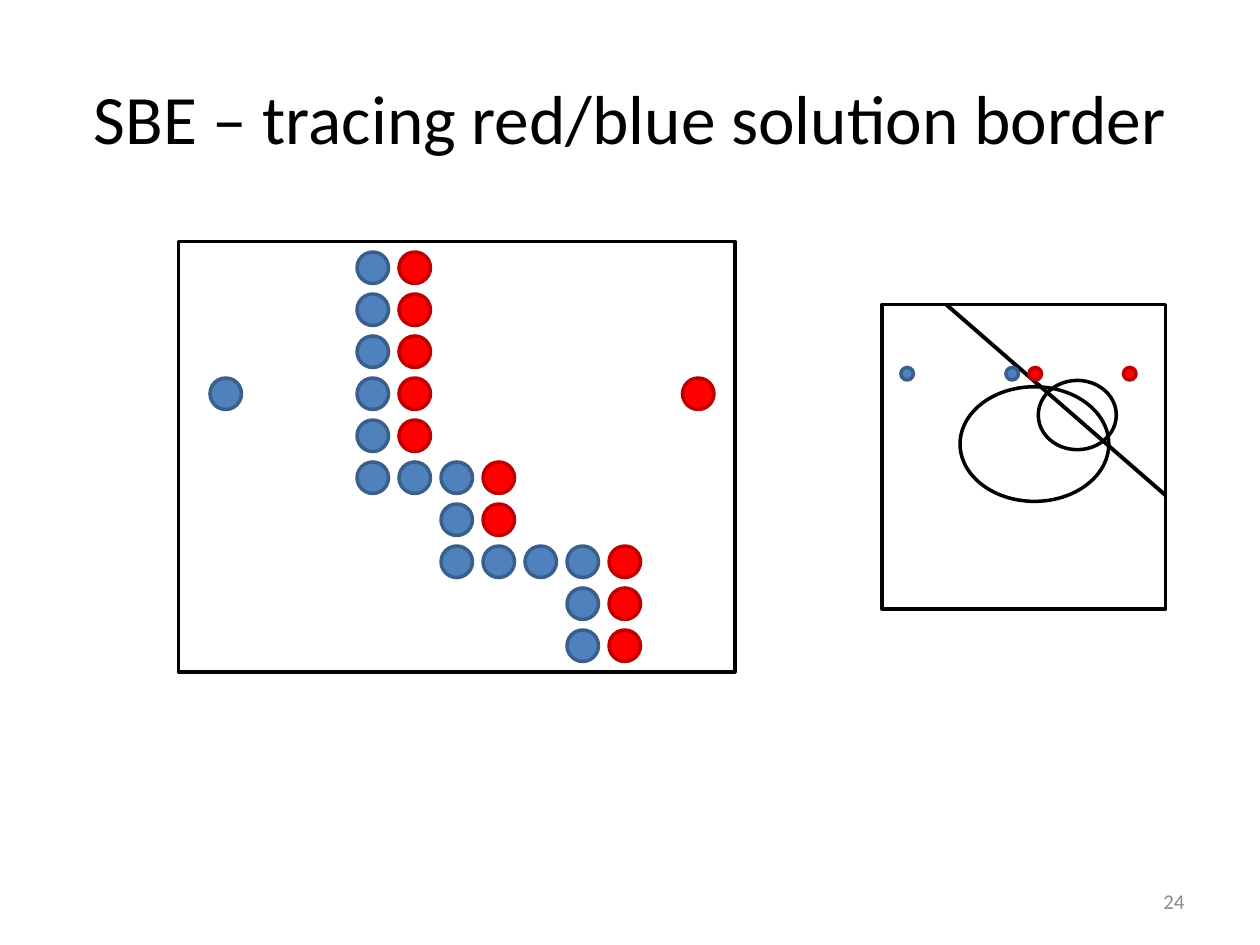
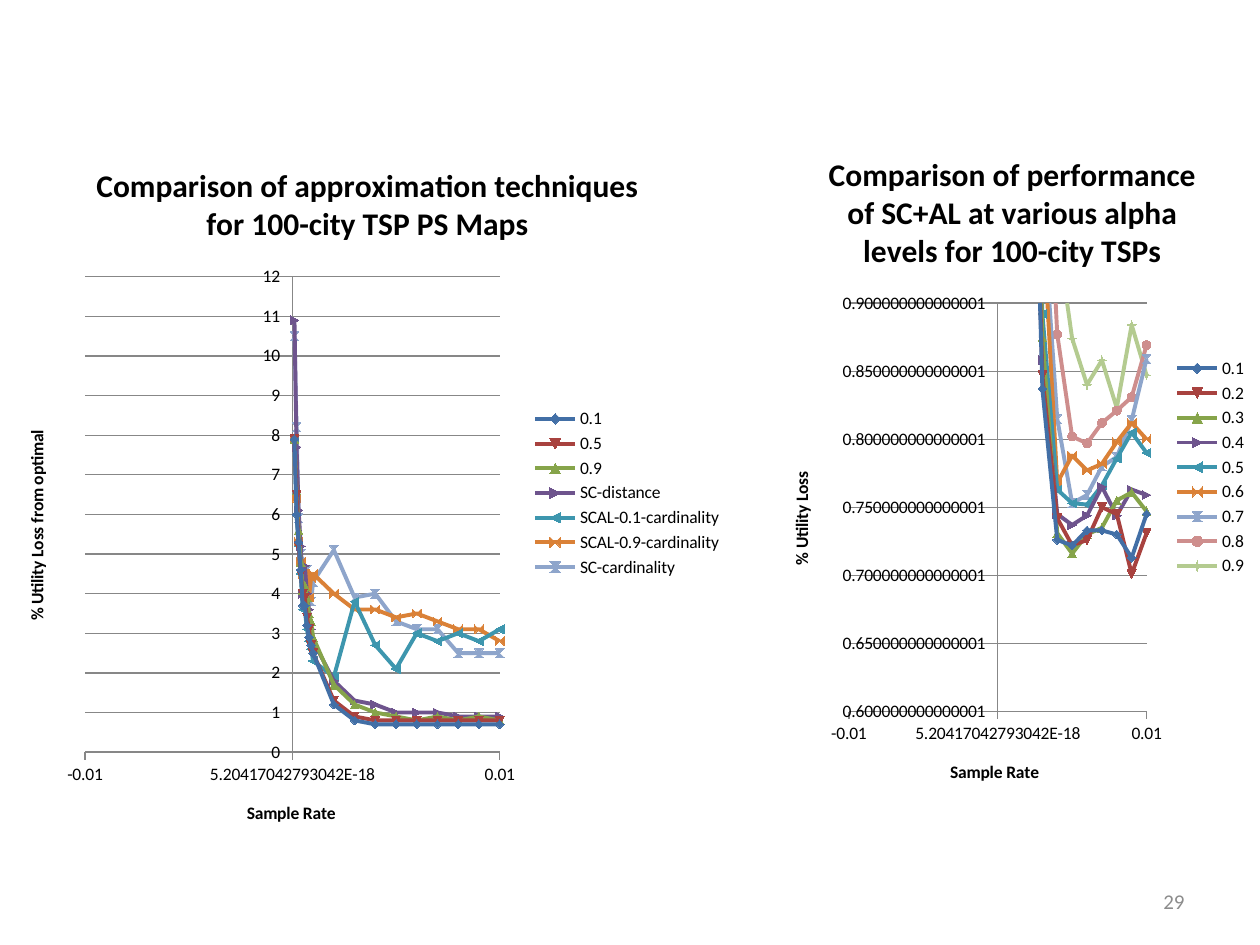
from dataclasses import dataclass

from lxml import etree
from pptx import Presentation
from pptx.chart.data import XyChartData
from pptx.dml.color import RGBColor
from pptx.enum.chart import XL_CHART_TYPE, XL_LEGEND_POSITION, XL_TICK_MARK
from pptx.enum.shapes import MSO_CONNECTOR, MSO_SHAPE
from pptx.enum.text import MSO_ANCHOR, PP_ALIGN
from pptx.oxml.ns import qn
from pptx.util import Pt

ELLIPSE, RECTANGLE = MSO_SHAPE.OVAL, MSO_SHAPE.RECTANGLE
STRAIGHT = MSO_CONNECTOR.STRAIGHT
CENTER, RIGHT = PP_ALIGN.CENTER, PP_ALIGN.RIGHT
MIDDLE = MSO_ANCHOR.MIDDLE
SCATTER_LINES = XL_CHART_TYPE.XY_SCATTER_LINES
LEGEND_RIGHT = XL_LEGEND_POSITION.RIGHT
TICK_OUTSIDE = XL_TICK_MARK.OUTSIDE


@dataclass(frozen=True)
class Theme:
    font: str = "Calibri"
    text: str = "000000"
    muted: str = "8C8C8C"
    grid: str = "878787"
    blue: tuple = ("4F81BD", "3A5F8C")
    red: tuple = ("FF0000", "C00000")
    series: tuple = ("426FA6", "A8423F", "86A44A", "6E548D", "3D96AE",
                     "DA8137", "8EA5CB", "CE8E8D", "B4CB90")
    title_size: float = 39.6
    number_size: float = 12
    chart_title_size: float = 18
    chart_size: float = 10
    outline: float = 2
    line: float = 2.25


SAMPLE_RATES = ([step / 10000 for step in range(1, 10)]
                + [step / 1000 for step in range(1, 11)])
LARGEST_RATE = 0.01 + 3 * 2 ** -59

ALPHA_LOSS = {
    "0.1": [7.871, 6.033, 5.256, 4.638, 3.722, 3.722, 3.181, 2.879, 2.712, 2.486,
            1.231, 0.837, 0.726, 0.722, 0.733, 0.733, 0.73, 0.713, 0.745],
    "0.2": [7.871, 6.033, 5.256, 4.638, 3.862, 3.96, 3.273, 2.875, 2.615, 2.418,
            1.232, 0.847, 0.742, 0.722, 0.726, 0.75, 0.745, 0.701, 0.731],
    "0.3": [7.871, 6.033, 5.256, 4.647, 3.947, 3.912, 3.276, 2.973, 2.609, 2.402,
            1.301, 0.875, 0.731, 0.716, 0.73, 0.735, 0.755, 0.761, 0.747],
    "0.4": [7.871, 6.033, 5.202, 4.488, 3.896, 3.867, 3.461, 2.98, 2.607, 2.396,
            1.268, 0.858, 0.745, 0.737, 0.744, 0.765, 0.744, 0.763, 0.759],
    "0.5": [7.871, 6.483, 5.197, 4.544, 4.016, 3.925, 3.419, 3.066, 2.704, 2.477,
            1.263, 0.892, 0.763, 0.753, 0.752, 0.766, 0.786, 0.805, 0.79],
    "0.6": [7.871, 6.515, 5.225, 4.557, 3.931, 4.009, 3.562, 3.049, 2.759, 2.556,
            1.348, 0.968, 0.768, 0.788, 0.777, 0.782, 0.798, 0.812, 0.8],
    "0.7": [7.871, 6.594, 5.411, 4.586, 3.967, 4.159, 3.651, 3.145, 2.99, 2.68,
            1.363, 0.976, 0.815, 0.753, 0.759, 0.78, 0.787, 0.814, 0.859],
    "0.8": [7.871, 6.589, 5.694, 4.88, 4.171, 4.324, 3.777, 3.26, 3.26, 2.761,
            1.469, 1.093, 0.877, 0.802, 0.797, 0.812, 0.821, 0.831, 0.869],
    "0.9": [7.871, 6.64, 5.586, 4.802, 4.124, 4.186, 3.905, 3.464, 3.271, 2.868,
            1.674, 1.161, 0.951, 0.874, 0.84, 0.858, 0.823, 0.884, 0.847],
}

TECHNIQUE_LOSS = {alpha: [round(loss, 1) for loss in ALPHA_LOSS[alpha]]
                  for alpha in ("0.1", "0.5", "0.9")} | {
    "SC-distance": [10.9, 7.7, 6.1, 5.2, 4, 4.7, 4, 3.6, 3.1, 2.8,
                    1.8, 1.3, 1.2, 1, 1, 1, 0.9, 0.9, 0.9],
    "SCAL-0.1-cardinality": [7.9, 6, 5.2, 4.5, 3.6, 3.6, 3.1, 2.8, 2.6, 2.3,
                             1.9, 3.8, 2.7, 2.1, 3, 2.8, 3, 2.8, 3.1],
    "SCAL-0.9-cardinality": [7.9, 6.4, 5.3, 4.8, 4.5, 4.5, 4.4, 3.9, 4.4, 4.5,
                             4, 3.6, 3.6, 3.4, 3.5, 3.3, 3.1, 3.1, 2.8],
    "SC-cardinality": [10.5, 8.2, 5.9, 5, 4.6, 4.4, 4.6, 4, 3.8, 4.3,
                       5.1, 3.9, 4, 3.3, 3.1, 3.1, 2.5, 2.5, 2.5],
}


class Deck:
    def __init__(self, theme):
        self.theme = theme
        self.presentation = Presentation()
        self.presentation.slide_width = Pt(720)
        self.presentation.slide_height = Pt(540)
        self.slide = None

    def new_slide(self, number):
        self.slide = self.presentation.slides.add_slide(
            self.presentation.slide_layouts[6])
        self.text(str(number), (516, 500.5, 168, 28.75),
                  self.theme.number_size, self.theme.muted, RIGHT)

    def style_font(self, font, size, color=None, bold=False):
        font.name = self.theme.font
        font.size = Pt(size)
        font.bold = bold
        font.color.rgb = RGBColor.from_string(color or self.theme.text)

    def style_line(self, line, color, width):
        line.color.rgb = RGBColor.from_string(color)
        line.width = Pt(width)

    def text(self, words, box, size, color, alignment):
        frame = self.slide.shapes.add_textbox(*map(Pt, box)).text_frame
        frame.word_wrap = True
        frame.vertical_anchor = MIDDLE
        frame.text = words
        paragraph = frame.paragraphs[0]
        paragraph.alignment = alignment
        self.style_font(paragraph.runs[0].font, size, color)

    def title(self, words):
        self.text(words, (36, 21.6, 648, 90),
                  self.theme.title_size, self.theme.text, CENTER)

    def outline(self, kind, box, parent=None):
        shape = (parent or self.slide).shapes.add_shape(kind, *map(Pt, box))
        shape.shadow.inherit = False
        shape.fill.background()
        self.style_line(shape.line, self.theme.text, self.theme.outline)
        return shape

    def dot(self, left, top, colors, size=18):
        fill, border = colors
        shape = self.outline(ELLIPSE, (left, top, size, size))
        shape.fill.solid()
        shape.fill.fore_color.rgb = RGBColor.from_string(fill)
        self.style_line(shape.line, border, self.theme.outline)

    def line(self, start, end, parent):
        connector = parent.shapes.add_connector(STRAIGHT, *map(Pt, start + end))
        self.style_line(connector.line, self.theme.text, self.theme.line)
        properties = connector.element.find(qn("p:spPr"))
        etree.SubElement(properties, qn("a:effectLst"))

    def chart_text(self, holder, words, size):
        frame = holder.text_frame
        frame.text = words
        self.style_font(frame.paragraphs[0].runs[0].font, size, bold=True)

    def chart(self, box, title, value_title, losses):
        data = XyChartData()
        for name, values in losses.items():
            series = data.add_series(name)
            for rate, loss in zip(SAMPLE_RATES, values):
                series.add_data_point(rate, loss)
        chart = self.slide.shapes.add_chart(
            SCATTER_LINES, *map(Pt, box), data).chart
        theme = self.theme
        self.style_font(chart.font, theme.chart_size)
        chart.has_title = True
        self.chart_text(chart.chart_title, title, theme.chart_title_size)
        chart.has_legend = True
        chart.legend.position = LEGEND_RIGHT
        chart.legend.include_in_layout = False
        plot = chart.plots[0]
        plot.vary_by_categories = False
        for series, color in zip(plot.series, theme.series):
            series.smooth = False
            self.style_line(series.format.line, color, theme.line)
        for axis, words in ((chart.category_axis, "Sample Rate"),
                            (chart.value_axis, value_title)):
            axis.has_title = True
            self.chart_text(axis.axis_title, words, theme.chart_size)
            axis.major_tick_mark = TICK_OUTSIDE
            self.style_line(axis.format.line, theme.grid, 0.75)
        chart.category_axis.has_major_gridlines = False
        chart.category_axis.maximum_scale = LARGEST_RATE
        chart.value_axis.has_major_gridlines = True
        self.style_line(chart.value_axis.major_gridlines.format.line,
                        theme.grid, 0.75)
        return chart


def build_border_slide(deck):
    blue, red = deck.theme.blue, deck.theme.red
    deck.new_slide(24)
    deck.title("SBE – tracing red/blue solution border")

    grid_left, grid_top, step = 204, 144, 24
    first_blue = 0
    for row, last_blue in enumerate([0] * 5 + [2, 2, 5, 5, 5]):
        top = grid_top + row * step
        for column in range(first_blue, last_blue + 1):
            deck.dot(grid_left + column * step, top, blue)
        deck.dot(grid_left + (last_blue + 1) * step, top, red)
        first_blue = last_blue
    deck.dot(120, 216, blue)
    deck.dot(390, 216, red)
    deck.outline(RECTANGLE, (102, 138, 318, 246))

    overview = deck.slide.shapes.add_group_shape()
    deck.outline(RECTANGLE, (504, 174, 162, 174), overview)
    deck.line((666, 283), (540.7, 174), overview)
    deck.outline(ELLIPSE, (593.3, 217.4, 44.6, 39.6), overview)
    deck.outline(ELLIPSE, (548.6, 221, 85, 65.5), overview)
    for left, colors in ((514.8, blue), (642, red), (574.8, blue), (588, red)):
        deck.dot(left, 210, colors, size=7.2)


def build_comparison_slide(deck):
    deck.new_slide(29)
    alpha_chart = deck.chart(
        (437, 72, 283, 390),
        "Comparison of performance of SC+AL at various alpha levels for 100-city TSPs",
        "% Utility Loss", ALPHA_LOSS)
    alpha_chart.value_axis.minimum_scale = 0.600000000000001
    alpha_chart.value_axis.maximum_scale = 0.900000000000001
    technique_chart = deck.chart(
        (0, 78, 420, 407.5),
        "Comparison of approximation techniques for 100-city TSP PS Maps",
        "% Utility Loss from optimal", TECHNIQUE_LOSS)
    technique_chart.value_axis.major_unit = 1


def main():
    deck = Deck(Theme())
    build_border_slide(deck)
    build_comparison_slide(deck)
    deck.presentation.save("out.pptx")


if __name__ == "__main__":
    main()
